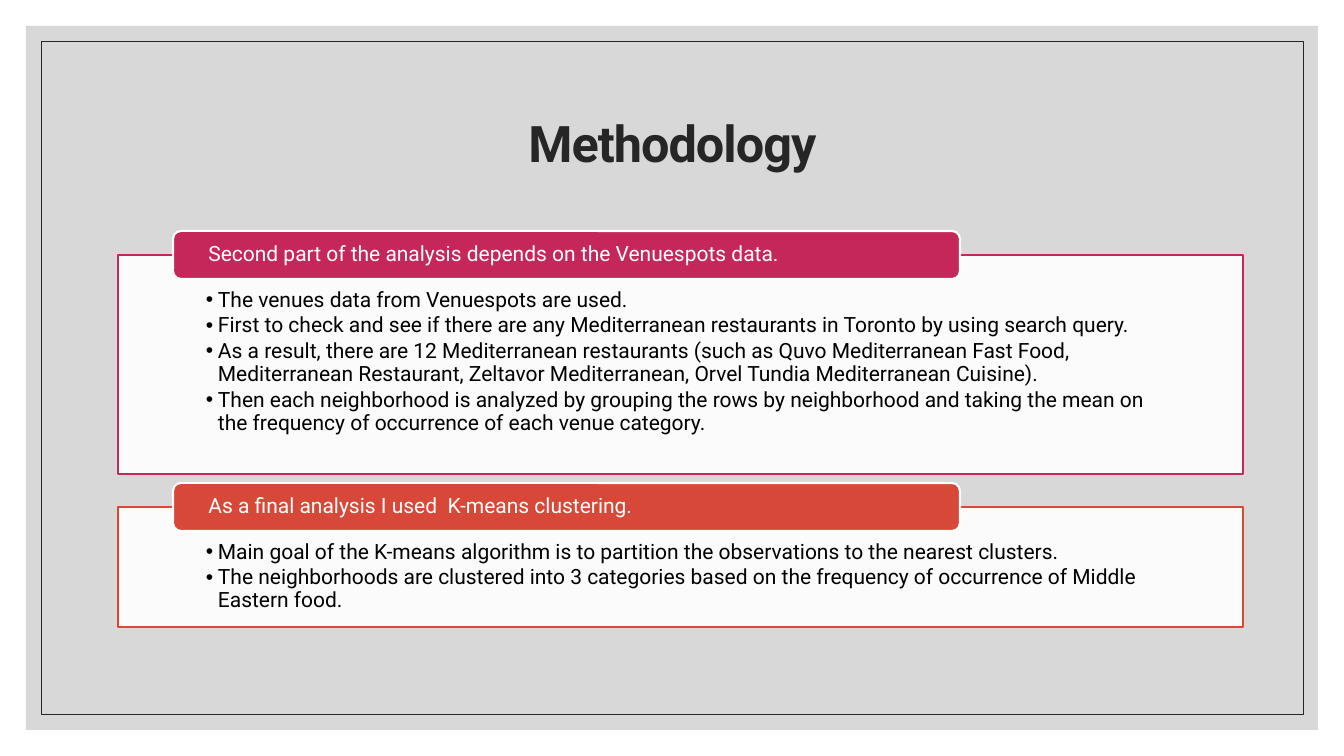
"""Build the Methodology slide: two outlined lists, each with a coloured heading tab."""
from lxml.etree import SubElement
from pptx import Presentation
from pptx.dml.color import RGBColor
from pptx.enum.shapes import MSO_SHAPE as Preset
from pptx.enum.text import MSO_ANCHOR as Anchor, MSO_AUTO_SIZE as AutoSize, PP_ALIGN as Align
from pptx.oxml.ns import qn
from pptx.util import Emu, Pt

COLORS = {"white": "FFFFFF", "black": "000000", "ink": "262626", "grey": "BFBFBF",
          "pink": "C5275A", "red": "D74839"}
TITLE = "Methodology"
SECTIONS = [
    {"color": "pink", "top": 255, "height": 219,
     "heading": "Second part of the analysis depends on the Venuespots data.",
     "bullets": [
         "The venues data from Venuespots are used.",
         "First to check and see if there are any Mediterranean restaurants in Toronto "
         "by using search query.",
         "As a result, there are 12 Mediterranean restaurants (such as Quvo Mediterranean "
         "Fast Food, Mediterranean Restaurant, Zeltavor Mediterranean, Orvel Tundia "
         "Mediterranean Cuisine).",
         "Then each neighborhood is analyzed by grouping the rows by neighborhood and taking "
         "the mean on the frequency of occurrence of each venue category."]},
    {"color": "red", "top": 507, "height": 120,
     "heading": "As a final analysis I used  K-means clustering.",
     "bullets": [
         "Main goal of the K-means algorithm is to partition the observations to the "
         "nearest clusters.",
         "The neighborhoods are clustered into 3 categories based on the frequency of "
         "occurrence of Middle Eastern food."]},
]
PANEL_LEFT, PANEL_WIDTH = 118, 1125
TAB_LEFT, TAB_WIDTH, TAB_HEIGHT, TAB_RISE = 173, 787, 48, 24
BULLET_INDENT = 12


def px(value):
    """Turn slide pixels into EMU."""
    return Emu(round(value * 914400 / 100.8))


def assign(target, values):
    """Set each named attribute on the target."""
    for name, value in values.items():
        setattr(target, name, value)


def place(shape, left, top, width, height):
    """Position a shape by pixels."""
    assign(shape, {"left": px(left), "top": px(top), "width": px(width), "height": px(height)})


def paint(shape, fill=None, alpha=100, line=None, weight=1):
    """Fill and outline a shape with named colours."""
    if fill:
        shape.fill.solid()
        shape.fill.fore_color.rgb = RGBColor.from_string(COLORS[fill])
        if alpha < 100:
            color = shape.element.spPr.find(qn("a:solidFill"))[0]
            SubElement(color, qn("a:alpha"), val=str(alpha * 1000))
    else:
        shape.fill.background()
    if line:
        shape.line.color.rgb = RGBColor.from_string(COLORS[line])
        shape.line.width = Pt(weight)
    else:
        shape.line.fill.background()


def write(shape, lines, color, size, margins, anchor, after=0, bold=False,
          align=Align.LEFT, bullet=False, tracking=0):
    """Put formatted paragraphs into a shape."""
    frame = shape.text_frame
    left, top, right, bottom = map(px, margins)
    assign(frame, {"word_wrap": True, "auto_size": AutoSize.NONE, "vertical_anchor": anchor,
                   "margin_left": left, "margin_top": top,
                   "margin_right": right, "margin_bottom": bottom})
    frame.text = "\n".join(lines)
    for paragraph in frame.paragraphs:
        assign(paragraph, {"alignment": align, "line_spacing": 0.9,
                           "space_before": Pt(0), "space_after": Pt(after)})
        if bullet:
            properties = paragraph.runs[0].font and paragraph._p.get_or_add_pPr()
            properties.set("marL", str(px(BULLET_INDENT)))
            properties.set("indent", str(-px(BULLET_INDENT)))
            SubElement(properties, qn("a:buChar"), char="•")
        run = paragraph.runs[0]
        assign(run.font, {"name": "Roboto", "size": Pt(size), "bold": bold})
        run.font.color.rgb = RGBColor.from_string(COLORS[color])
        if tracking:
            run.font._element.set("spc", str(tracking))


def add_box(slide, preset, *box):
    """Add a preset shape without a shadow."""
    shape = slide.shapes.add_shape(preset, *map(px, box))
    shape.shadow.inherit = False
    return shape


presentation = Presentation()
assign(presentation, {"slide_width": px(1344), "slide_height": px(756)})
slide = presentation.slides.add_slide(presentation.slide_layouts.get_by_name("Two Content"))
title, *panels = list(slide.placeholders)[:3]

backdrop = add_box(slide, Preset.RECTANGLE, 26, 26, 1292, 704)
paint(backdrop, "grey", alpha=60)
frame_line = add_box(slide, Preset.RECTANGLE, 41, 41, 1262, 673)
paint(frame_line, line="ink", weight=0.5)
for shape in (backdrop, frame_line):
    title.element.addprevious(shape.element)

place(title, 118, 71, 1109, 151)
write(title, [TITLE], "ink", 36, (10, 5, 10, 5), Anchor.MIDDLE,
      bold=True, align=Align.CENTER, tracking=-70)

for section, panel in zip(SECTIONS, panels):
    place(panel, PANEL_LEFT, section["top"], PANEL_WIDTH, section["height"])
    paint(panel, "white", alpha=90, line=section["color"])
    write(panel, section["bullets"], "black", 15, (88, 34, 88, 12), Anchor.TOP,
          after=2.25, bullet=True)
    tab = add_box(slide, Preset.ROUNDED_RECTANGLE, TAB_LEFT, section["top"] - TAB_RISE,
                  TAB_WIDTH, TAB_HEIGHT)
    paint(tab, section["color"], line="white", weight=1.5)
    write(tab, [section["heading"]], "white", 15, (33, 0, 33, 0), Anchor.MIDDLE)

presentation.save("out.pptx")
